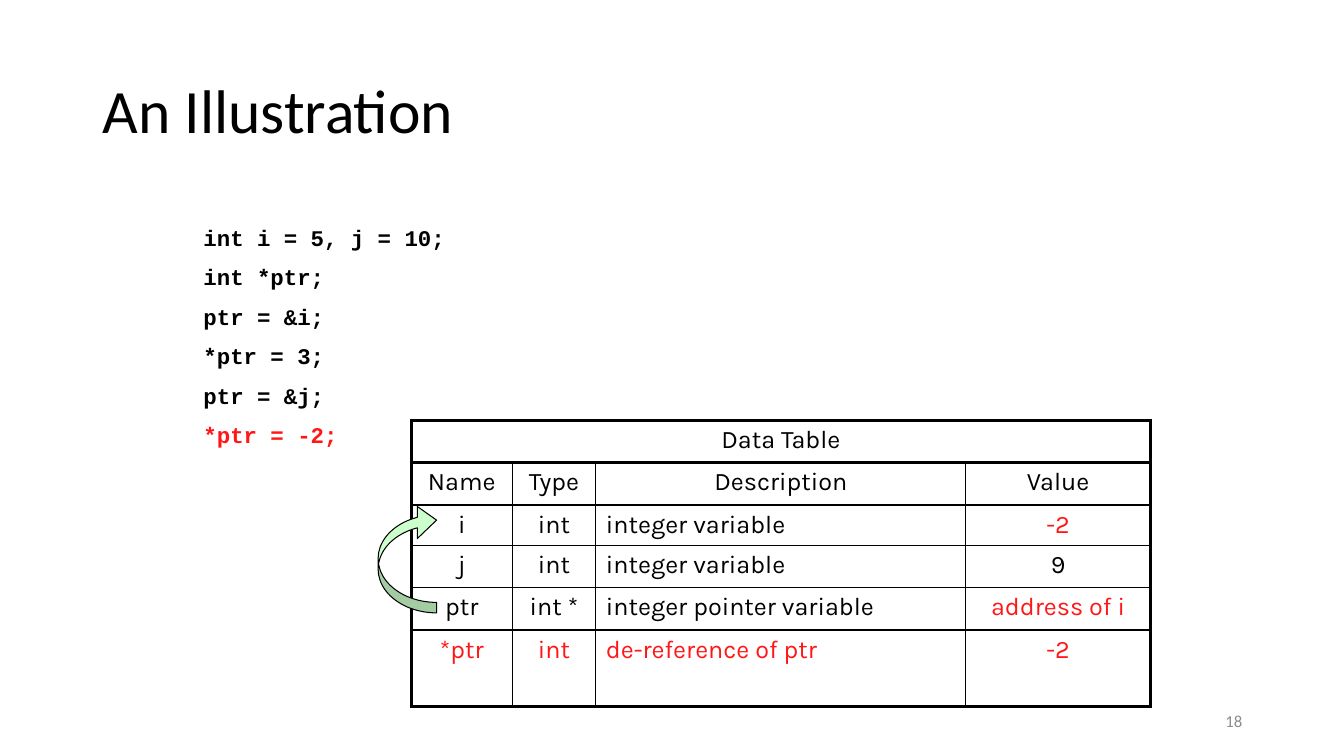
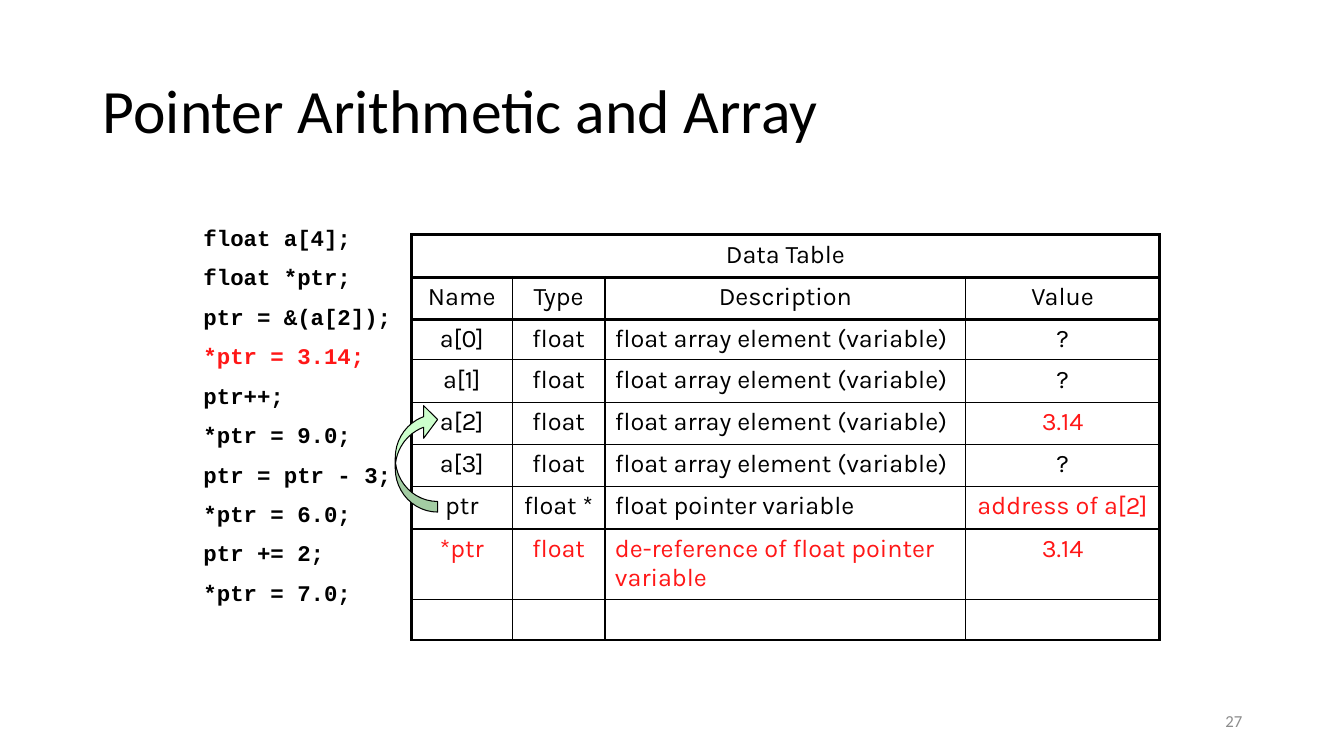
from pptx import Presentation
from pptx.dml.color import RGBColor
from pptx.enum.shapes import MSO_SHAPE
from pptx.enum.text import MSO_ANCHOR, MSO_AUTO_SIZE, PP_ALIGN
from pptx.oxml.ns import qn
from pptx.util import Inches, Pt
from lxml.etree import SubElement

COLORS = {"text": "000000", "changed": "FF1717", "number": "8C8C8C", "arrow": "CCFFCC"}
TITLE_FONT, CODE_FONT, TABLE_FONT = "Calibri", "Courier New", "Karla"
THICK, THIN = Pt(2.25), Pt(1)

TITLE_BOX = (0.92, 0.4, 11.5, 1.45)
NUMBER_BOX = (9.42, 6.95, 3, 0.4)
HEADINGS = ["Name", "Type", "Description", "Value"]
DESCRIPTION = HEADINGS.index("Description")
HEADER_ROWS = 2
ROW = 0.42


def color(name):
    return RGBColor.from_string(COLORS[name])


def style(para, font, size, color_name="text", align=PP_ALIGN.LEFT, bold=False):
    para.alignment = align
    para.font.name = font
    para.font.size = Pt(size)
    para.font.bold = bold
    para.font.color.rgb = color(color_name)


def add_text_box(page, box):
    frame = page.shapes.add_textbox(*map(Inches, box)).text_frame
    frame.word_wrap = True
    return frame


def add_title(page, text, box):
    title = page.shapes.title
    title.left, title.top, title.width, title.height = map(Inches, box)
    frame = title.text_frame
    frame.text = text
    frame.auto_size = MSO_AUTO_SIZE.NONE
    frame.vertical_anchor = MSO_ANCHOR.MIDDLE
    para = frame.paragraphs[0]
    para.line_spacing = 0.9
    style(para, TITLE_FONT, 44)


def add_number(page, number, box):
    frame = add_text_box(page, box)
    frame.text = str(number)
    frame.vertical_anchor = MSO_ANCHOR.MIDDLE
    style(frame.paragraphs[0], TITLE_FONT, 12, "number", PP_ALIGN.RIGHT)


def add_code(page, lines, changed_line, box):
    frame = add_text_box(page, box)
    frame.text = "\n".join(lines)
    for index, para in enumerate(frame.paragraphs):
        if index:
            para.space_before = Pt(9)
        color_name = "changed" if lines[index] == changed_line else "text"
        style(para, CODE_FONT, 16, color_name, bold=True)


def set_borders(cell, widths):
    """Draw the left, right, top and bottom edges, in that order."""
    properties = cell._tc.get_or_add_tcPr()
    for side, width in zip("LRTB", widths):
        line = SubElement(properties, qn(f"a:ln{side}"), w=str(int(width)))
        fill = SubElement(line, qn("a:solidFill"))
        SubElement(fill, qn("a:srgbClr"), val=COLORS["text"])


def add_data_table(page, variables, changed, widths, heights, corner):
    """Fill a table; changed holds (variable, column) positions."""
    rows = [["Data Table", "", "", ""], HEADINGS] + variables
    box = (*corner, sum(widths), sum(heights))
    table = page.shapes.add_table(len(rows), len(widths), *map(Inches, box)).table
    table.first_row = table.horz_banding = False
    for column, width in zip(table.columns, widths):
        column.width = Inches(width)
    for row, height in zip(table.rows, heights):
        row.height = Inches(height)
    table.cell(0, 0).merge(table.cell(0, len(widths) - 1))

    for r, texts in enumerate(rows):
        for c, text in enumerate(texts):
            cell = table.cell(r, c)
            thick_edges = (
                r == 0 or c == 0,
                r == 0 or c == len(widths) - 1,
                r <= HEADER_ROWS,
                r < HEADER_ROWS or r == len(rows) - 1,
            )
            set_borders(cell, [THICK if edge else THIN for edge in thick_edges])
            cell.fill.background()
            cell.text = text
            is_left = r >= HEADER_ROWS and c == DESCRIPTION
            style(
                cell.text_frame.paragraphs[0],
                TABLE_FONT,
                18,
                "changed" if (r - HEADER_ROWS, c) in changed else "text",
                PP_ALIGN.LEFT if is_left else PP_ALIGN.CENTER,
            )


def add_pointer_arrow(page, adjustments, box):
    arrow = page.shapes.add_shape(MSO_SHAPE.CURVED_LEFT_ARROW, *map(Inches, box))
    arrow.rotation = 180
    for index, value in enumerate(adjustments):
        arrow.adjustments[index] = value
    arrow.shadow.inherit = False
    arrow.fill.solid()
    arrow.fill.fore_color.rgb = color("arrow")
    arrow.line.color.rgb = color("text")
    arrow.line.width = Pt(0.75)


def add_page(deck, title, number):
    page = deck.slides.add_slide(deck.slide_layouts[5])
    add_title(page, title, TITLE_BOX)
    add_number(page, number, NUMBER_BOX)
    return page


def add_illustration(deck):
    page = add_page(deck, "An Illustration", 18)
    code = ["int i = 5, j = 10;", "int *ptr;", "ptr = &i;",
            "*ptr = 3;", "ptr = &j;", "*ptr = -2;"]
    add_code(page, code, "*ptr = -2;", (1.92, 2.17, 9.33, 2.39))
    variables = [
        ["i", "int", "integer variable", "-2"],
        ["j", "int", "integer variable", "9"],
        ["ptr", "int *", "integer pointer variable", "address of i"],
        ["*ptr", "int", "de-reference of ptr", "-2"],
    ]
    changed = {(0, 3), (2, 3)} | {(3, c) for c in range(4)}
    heights = [ROW, ROW, 0.4, ROW, ROW, 0.76]
    add_data_table(page, variables, changed, [1, 0.83, 3.67, 1.83], heights, (4.08, 4.17))
    add_pointer_arrow(page, (0.18, 0.55, 0.33), (3.75, 5, 0.58, 1.08))


def add_array_arithmetic(deck):
    page = add_page(deck, "Pointer Arithmetic and Array", 27)
    code = ["float a[4];", "float *ptr;", "ptr = &(a[2]);", "*ptr = 3.14;", "ptr++;",
            "*ptr = 9.0;", "ptr = ptr - 3;", "*ptr = 6.0;", "ptr += 2;", "*ptr = 7.0;"]
    add_code(page, code, "*ptr = 3.14;", (1.92, 2.17, 9.33, 3.98))
    variables = [
        [f"a[{i}]", "float", "float array element (variable)", "3.14" if i == 2 else "?"]
        for i in range(4)
    ] + [
        ["ptr", "float *", "float pointer variable", "address of a[2]"],
        ["*ptr", "float", "de-reference of float pointer variable", "3.14"],
        ["", "", "", ""],
    ]
    changed = {(2, 3), (4, 3)} | {(5, c) for c in range(4)}
    heights = [ROW, ROW, 0.4] + [ROW] * 4 + [0.7, 0.4]
    add_data_table(page, variables, changed, [1, 0.92, 3.58, 1.92], heights, (4.08, 2.33))
    add_pointer_arrow(page, (0.25, 0.77, 0.33), (3.92, 4, 0.42, 1.08))


def main():
    deck = Presentation()
    deck.slide_width, deck.slide_height = Inches(13.33), Inches(7.5)
    add_illustration(deck)
    add_array_arithmetic(deck)
    deck.save("out.pptx")


if __name__ == "__main__":
    main()
